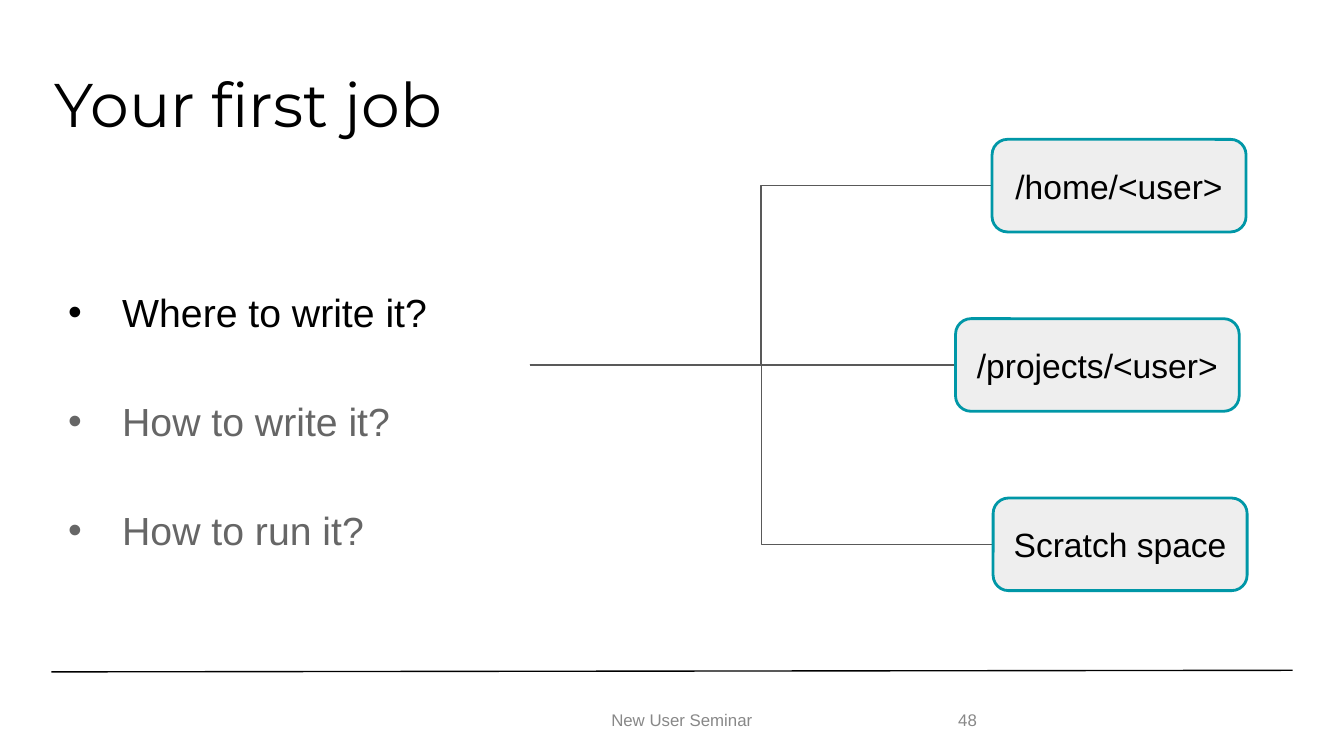
from dataclasses import dataclass

from lxml import etree
from pptx import Presentation
from pptx.dml.color import RGBColor
from pptx.enum.shapes import MSO_CONNECTOR, MSO_SHAPE
from pptx.enum.text import MSO_ANCHOR, PP_ALIGN
from pptx.oxml.ns import qn
from pptx.util import Cm, Pt

STRAIGHT, ELBOW = MSO_CONNECTOR.STRAIGHT, MSO_CONNECTOR.ELBOW
ROUNDED = MSO_SHAPE.ROUNDED_RECTANGLE
TOP, MIDDLE = MSO_ANCHOR.TOP, MSO_ANCHOR.MIDDLE
LEFT, CENTER = PP_ALIGN.LEFT, PP_ALIGN.CENTER

BLACK = RGBColor(0x00, 0x00, 0x00)
MUTED = RGBColor(0x66, 0x66, 0x66)
FOOTER_GRAY = RGBColor(0x88, 0x88, 0x88)
BRANCH_GRAY = RGBColor(0x59, 0x59, 0x59)
BOX_FILL = RGBColor(0xEE, 0xEE, 0xEE)
TEAL = RGBColor(0x00, 0x97, 0xA7)

# Location tree, in centimetres
HUB_X, HUB_Y = 10.01, 6.9
BOX_HEIGHT, BOX_PITCH = 1.75, 3.39


@dataclass
class Question:
    text: str
    color: RGBColor


@dataclass
class Location:
    text: str
    left: float
    width: float
    connector: int


QUESTIONS = [
    Question("Where to write it?", BLACK),
    Question("How to write it?", MUTED),
    Question("How to run it?", MUTED),
]
LOCATIONS = [
    Location("/home/<user>", 18.75, 4.8, ELBOW),
    Location("/projects/<user>", 18.06, 5.36, STRAIGHT),
    Location("Scratch space", 18.77, 4.8, ELBOW),
]


def style_paragraph(paragraph, text: str, size: float, color: RGBColor,
                    font_name: str = "Arial", align: int = LEFT) -> None:
    paragraph.text = text
    paragraph.alignment = align
    font = paragraph.font
    font.name, font.size = font_name, Pt(size)
    font.color.rgb = color


def add_text_frame(slide, left: float, top: float, width: float,
                   height: float, anchor: int = MIDDLE):
    box = slide.shapes.add_textbox(Cm(left), Cm(top), Cm(width), Cm(height))
    frame = box.text_frame
    frame.word_wrap = True
    frame.vertical_anchor = anchor
    frame.margin_left = frame.margin_right = Cm(0.18)
    frame.margin_top = frame.margin_bottom = Cm(0.1)
    return frame


def add_bullet(paragraph, color: RGBColor) -> None:
    properties = paragraph._p.get_or_add_pPr()
    properties.set("marL", str(Cm(1.27)))
    properties.set("indent", str(-Cm(1.02)))
    bullet_color = etree.SubElement(properties, qn("a:buClr"))
    etree.SubElement(bullet_color, qn("a:srgbClr"), val=str(color))
    etree.SubElement(properties, qn("a:buFont"), typeface="Arial")
    etree.SubElement(properties, qn("a:buChar"), char="•")


def add_line(slide, kind: int, start: tuple[float, float],
             end: tuple[float, float], color: RGBColor) -> None:
    x1, y1, x2, y2 = (Cm(value) for value in (*start, *end))
    connector = slide.shapes.add_connector(kind, x1, y1, x2, y2)
    connector.line.color.rgb = color
    connector.line.width = Pt(0.75)
    etree.SubElement(connector._element.spPr, qn("a:effectLst"))


def add_location(slide, location: Location, center_y: float) -> None:
    shape = slide.shapes.add_shape(
        ROUNDED, Cm(location.left), Cm(center_y - BOX_HEIGHT / 2),
        Cm(location.width), Cm(BOX_HEIGHT))
    shape.shadow.inherit = False
    shape.fill.solid()
    shape.fill.fore_color.rgb = BOX_FILL
    shape.line.color.rgb = TEAL
    shape.line.width = Pt(1.5)
    frame = shape.text_frame
    frame.word_wrap = True
    frame.vertical_anchor = MIDDLE
    frame.margin_left = frame.margin_right = Cm(0.25)
    frame.margin_top = frame.margin_bottom = Cm(0.25)
    style_paragraph(frame.paragraphs[0], location.text, 18, BLACK, align=CENTER)


def main() -> None:
    presentation = Presentation()
    presentation.slide_width, presentation.slide_height = Cm(25.4), Cm(14.29)
    slide = presentation.slides.add_slide(presentation.slide_layouts[6])

    # Footer rule
    add_line(slide, STRAIGHT, (0.97, 12.7), (24.43, 12.67), BLACK)

    # Title
    title = add_text_frame(slide, 0.86, 1.24, 23.67, 1.6).paragraphs[0]
    title.line_spacing = 0.9
    style_paragraph(title, "Your first job", 33, BLACK, "Montserrat")

    # Questions
    frame = add_text_frame(slide, 0.86, 4.47, 9.78, 7.42, TOP)
    for index, question in enumerate(QUESTIONS):
        paragraph = frame.add_paragraph() if index else frame.paragraphs[0]
        add_bullet(paragraph, question.color)
        paragraph.line_spacing = 2.0
        if index:
            paragraph.space_before = Pt(8)
        style_paragraph(paragraph, question.text, 21, question.color)

    # Footer
    footer = add_text_frame(slide, 8.59, 13.23, 8.59, 0.76).paragraphs[0]
    style_paragraph(footer, "New User Seminar", 9, FOOTER_GRAY, align=CENTER)
    number = add_text_frame(slide, 17.93, 13.23, 1.42, 0.76).paragraphs[0]
    style_paragraph(number, "48", 9, FOOTER_GRAY)

    # Branches and locations, centred on the hub
    for index, location in enumerate(LOCATIONS):
        center_y = HUB_Y + (index - 1) * BOX_PITCH
        add_line(slide, location.connector, (HUB_X, HUB_Y),
                 (location.left, center_y), BRANCH_GRAY)
        add_location(slide, location, center_y)

    presentation.save("out.pptx")


if __name__ == "__main__":
    main()
